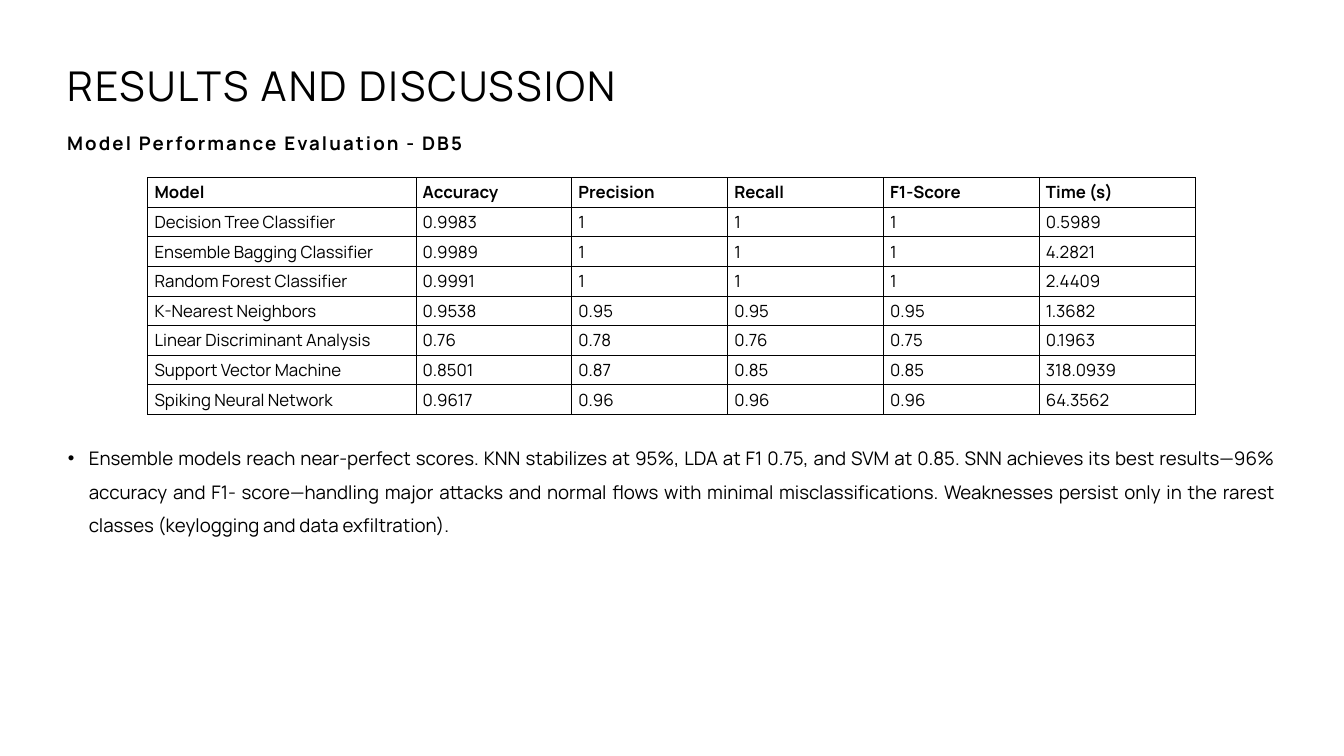
"""Build the results slide with its model performance table."""
from dataclasses import dataclass
from typing import Any, NamedTuple

from lxml.etree import SubElement
from pptx import Presentation
from pptx.dml.color import RGBColor
from pptx.enum.text import MSO_AUTO_SIZE as AutoSize, PP_PARAGRAPH_ALIGNMENT as Align
from pptx.oxml.ns import qn
from pptx.util import Cm, Pt


@dataclass(frozen=True)
class Theme:
    font: str = "Manrope"
    ink: RGBColor = RGBColor(0, 0, 0)
    paper: RGBColor = RGBColor(255, 255, 255)
    title: Pt = Pt(44)
    body: Pt = Pt(20)
    cell: Pt = Pt(18)
    rule: Pt = Pt(1)


class Passage(NamedTuple):
    text: str
    left: float
    top: float
    width: float
    height: float
    size: Pt
    bold: bool = False
    tracking: float = 0
    layout: dict[str, Any] = {}
    hanging: float = 0


class Scores(NamedTuple):
    model: str
    accuracy: str
    precision: str
    recall: str
    f1: str
    time: str


THEME = Theme()

PASSAGES = [
    Passage("RESULTS AND DISCUSSION", 2.54, 1.96, 24.16, 2.08, THEME.title,
            tracking=2.2, layout={"line_spacing": Pt(61.6)}),
    Passage("Model Performance Evaluation - DB5", 2.54, 5, 18.72, 0.86, THEME.body,
            bold=True, tracking=2.2),
    Passage("Ensemble models reach near-perfect scores. KNN stabilizes at 95%, LDA at F1 0.75, "
            "and SVM at 0.85. SNN achieves its best results—96% accuracy and F1- score—handling "
            "major attacks and normal flows with minimal misclassifications. Weaknesses persist "
            "only in the rarest classes (keylogging and data exfiltration).",
            2.57, 16.48, 45.64, 3.73, THEME.body,
            layout={"alignment": Align.JUSTIFY, "line_spacing": 1.5}, hanging=0.79),
]

HEADINGS = Scores("Model", "Accuracy", "Precision", "Recall", "F1-Score", "Time (s)")
RESULTS = [
    Scores("Decision Tree Classifier", "0.9983", "1", "1", "1", "0.5989"),
    Scores("Ensemble Bagging Classifier", "0.9989", "1", "1", "1", "4.2821"),
    Scores("Random Forest Classifier", "0.9991", "1", "1", "1", "2.4409"),
    Scores("K-Nearest Neighbors", "0.9538", "0.95", "0.95", "0.95", "1.3682"),
    Scores("Linear Discriminant Analysis", "0.76", "0.78", "0.76", "0.75", "0.1963"),
    Scores("Support Vector Machine", "0.8501", "0.87", "0.85", "0.85", "318.0939"),
    Scores("Spiking Neural Network", "0.9617", "0.96", "0.96", "0.96", "64.3562"),
]
MODEL_WIDTH, SCORE_WIDTH, ROW_HEIGHT = 10.13, 5.89, 1.12


def apply(target: Any, values: dict[str, Any]) -> None:
    """Set each named attribute of the target."""
    for name, value in values.items():
        setattr(target, name, value)


def write(paragraph: Any, text: str, size: Pt, bold: bool, tracking: float = 0) -> None:
    """Add one styled run to a paragraph."""
    run = paragraph.add_run()
    run.text = text
    apply(run.font, {"name": THEME.font, "size": size, "bold": bold})
    run.font.color.rgb = THEME.ink
    if tracking:
        run.font._element.set("spc", str(round(tracking * 100)))


def hang_bullet(paragraph: Any, indent: float) -> None:
    """Give a paragraph a bullet with a hanging indent."""
    properties = paragraph._p.get_or_add_pPr()
    properties.set("marL", str(Cm(indent)))
    properties.set("indent", str(-Cm(indent)))
    SubElement(properties, qn("a:buFont"), typeface="Arial")
    SubElement(properties, qn("a:buChar"), char="•")


def draw_passage(slide: Any, passage: Passage) -> None:
    """Place a passage in a text box without margins."""
    box = slide.shapes.add_textbox(*map(Cm, passage[1:5]))
    apply(box.text_frame, {
        "margin_left": 0, "margin_top": 0, "margin_right": 0, "margin_bottom": 0,
        "word_wrap": True, "auto_size": AutoSize.SHAPE_TO_FIT_TEXT,
    })
    paragraph = box.text_frame.paragraphs[0]
    if passage.hanging:
        hang_bullet(paragraph, passage.hanging)
    apply(paragraph, passage.layout)
    write(paragraph, passage.text, passage.size, passage.bold, passage.tracking)


def rule_cell(cell: Any) -> None:
    """Draw the four borders of a cell."""
    properties = cell._tc.get_or_add_tcPr()
    for side in ("lnL", "lnR", "lnT", "lnB"):
        line = SubElement(properties, qn(f"a:{side}"), w=str(THEME.rule))
        fill = SubElement(line, qn("a:solidFill"))
        SubElement(fill, qn("a:srgbClr"), val=str(THEME.ink))


def draw_scores(slide: Any, left: float, top: float) -> None:
    """Place the table of model scores."""
    records = [HEADINGS, *RESULTS]
    widths = [MODEL_WIDTH] + [SCORE_WIDTH] * (len(HEADINGS) - 1)
    table = slide.shapes.add_table(
        len(records), len(widths), Cm(left), Cm(top),
        Cm(sum(widths)), Cm(ROW_HEIGHT * len(records))).table
    apply(table, {"first_row": False, "horz_banding": False})
    for column, width in zip(table.columns, widths):
        column.width = Cm(width)
    for row, record in zip(table.rows, records):
        row.height = Cm(ROW_HEIGHT)
        for cell, text in zip(row.cells, record):
            rule_cell(cell)
            cell.fill.background()
            write(cell.text_frame.paragraphs[0], text, THEME.cell, record is HEADINGS)


def main() -> None:
    """Build and save the slide."""
    deck = Presentation()
    apply(deck, {"slide_width": Cm(50.8), "slide_height": Cm(28.58)})
    slide = deck.slides.add_slide(deck.slide_layouts[6])
    slide.background.fill.solid()
    slide.background.fill.fore_color.rgb = THEME.paper
    title, subtitle, findings = PASSAGES
    draw_passage(slide, title)
    draw_passage(slide, subtitle)
    draw_scores(slide, 5.59, 6.71)
    draw_passage(slide, findings)
    deck.save("out.pptx")


if __name__ == "__main__":
    main()
